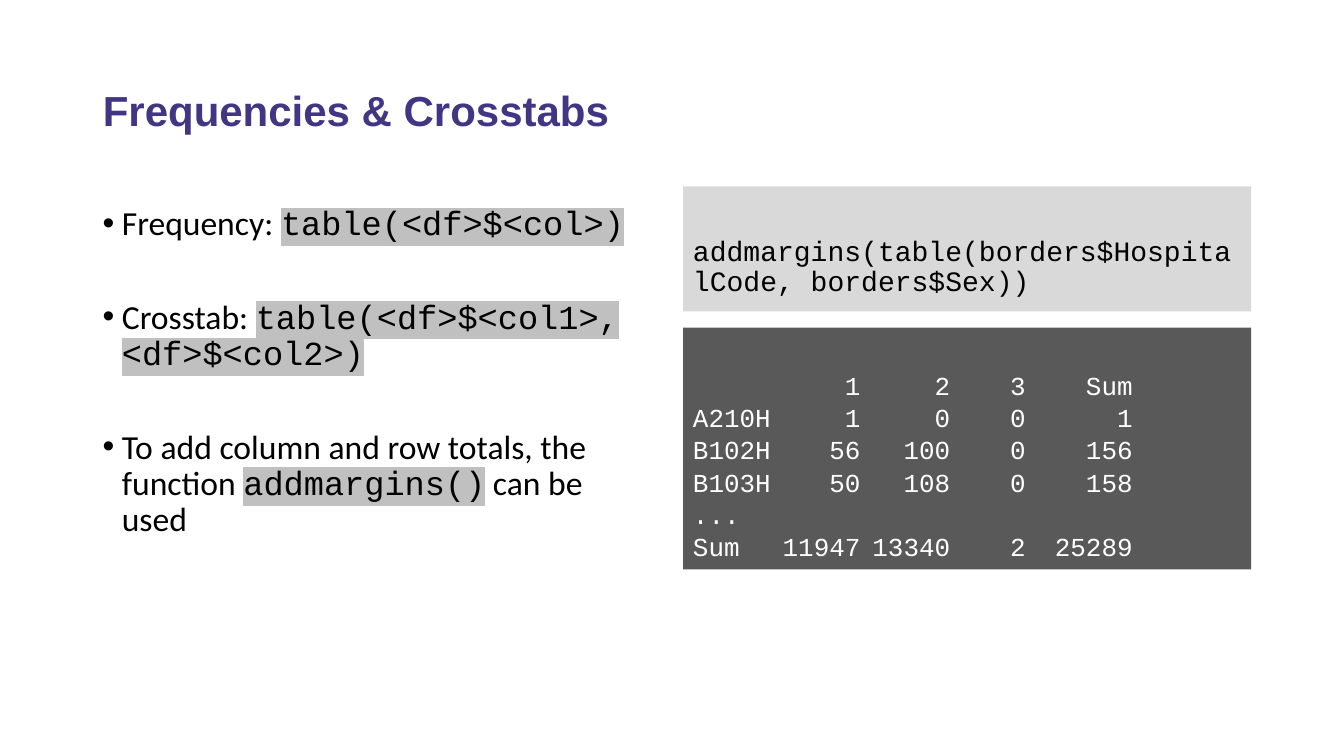
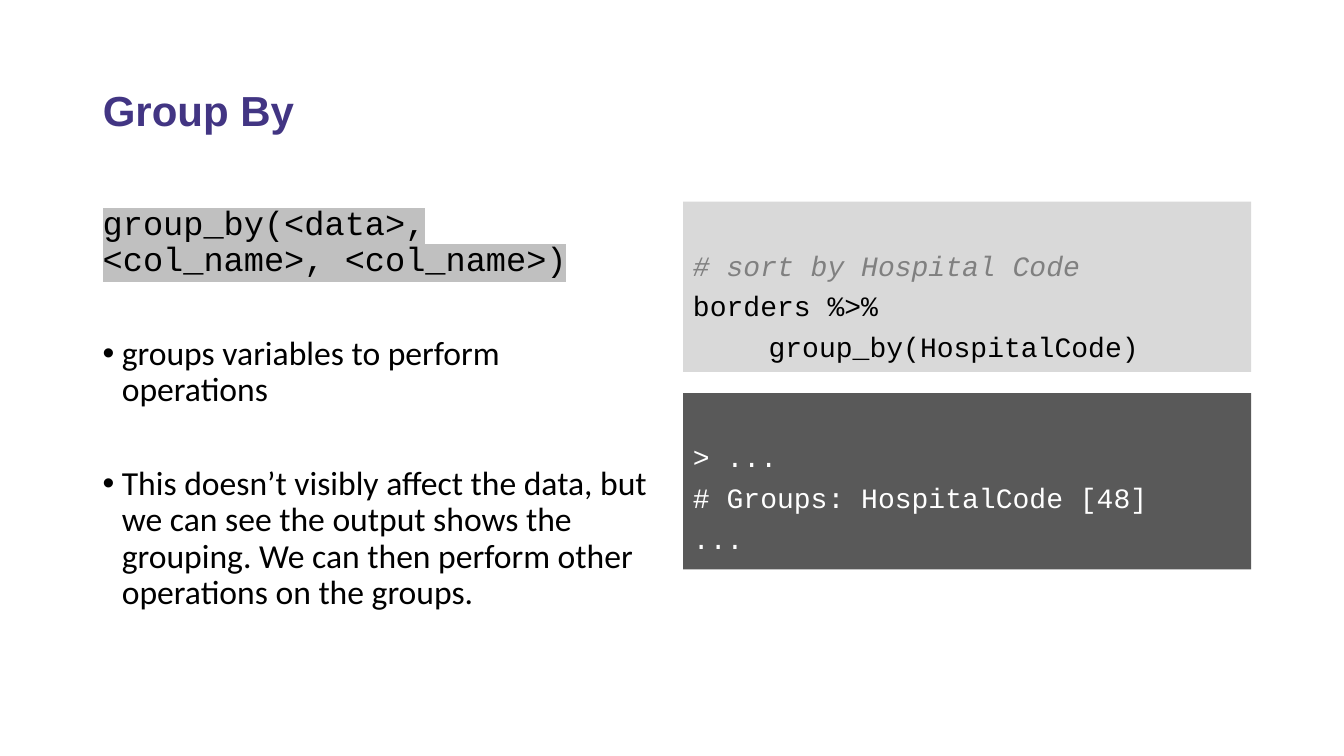
from lxml import etree
from pptx import Presentation
from pptx.dml.color import RGBColor
from pptx.enum.shapes import MSO_SHAPE
from pptx.enum.text import MSO_ANCHOR, PP_ALIGN
from pptx.oxml.ns import qn
from pptx.util import Inches, Pt

RECTANGLE = MSO_SHAPE.RECTANGLE
TOP, MIDDLE = MSO_ANCHOR.TOP, MSO_ANCHOR.MIDDLE
LEFT = PP_ALIGN.LEFT

PURPLE = RGBColor(0x42, 0x35, 0x83)
BLACK = RGBColor(0x00, 0x00, 0x00)
WHITE = RGBColor(0xFF, 0xFF, 0xFF)
COMMENT_GREY = RGBColor(0x80, 0x80, 0x80)
HIGHLIGHT_GREY = RGBColor(0xC0, 0xC0, 0xC0)
INPUT_GREY = RGBColor(0xD9, 0xD9, 0xD9)
OUTPUT_GREY = RGBColor(0x59, 0x59, 0x59)

TITLE_FONT, BODY_FONT, CODE_FONT = "Arial", "Calibri", "Courier New"

SLIDE_WIDTH, SLIDE_HEIGHT = 13.33, 7.5
MARGIN, GUTTER = 0.92, 0.22
CONTENT_WIDTH = SLIDE_WIDTH - 2 * MARGIN
COLUMN_WIDTH = (CONTENT_WIDTH - GUTTER) / 2
RIGHT_COLUMN = MARGIN + COLUMN_WIDTH + GUTTER
TITLE_TOP, TITLE_HEIGHT = 0.4, 1.45
BODY_TOP, BODY_HEIGHT = 2, 4.38
PANELS_BOTTOM = 5.65
PANEL_INSET = 0.5
BULLET_INDENT = 0.19
CODE_INDENT = 0.75
PARAGRAPH_GAP, LINE_GAP = 41, 7.5
TABLE_STOPS = (1.66, 2.55, 3.3, 4.36)


def box(left, top, width, height):
    return [Inches(length) for length in (left, top, width, height)]


def style(paragraph, font, size, color, line_spacing=0.9, bold=None, italic=None):
    paragraph.alignment = LEFT
    paragraph.line_spacing = line_spacing
    paragraph.font.name = font
    paragraph.font.size = Pt(size)
    paragraph.font.color.rgb = color
    paragraph.font.bold = bold
    paragraph.font.italic = italic


def next_paragraph(frame, index, gap):
    paragraph = frame.add_paragraph() if index else frame.paragraphs[0]
    paragraph.space_before = Pt(gap if index else 0)
    return paragraph


def add_bullet(paragraph):
    properties = paragraph._p.get_or_add_pPr()
    properties.set("marL", str(Inches(BULLET_INDENT)))
    properties.set("indent", str(-Inches(BULLET_INDENT)))
    etree.SubElement(properties, qn("a:buFont"), typeface="Arial")
    etree.SubElement(properties, qn("a:buChar"), char="•")


def add_right_tabs(paragraph, stops):
    tabs = etree.SubElement(paragraph._p.get_or_add_pPr(), qn("a:tabLst"))
    for stop in stops:
        etree.SubElement(tabs, qn("a:tab"), pos=str(Inches(stop)), algn="r")


def highlight(run):
    mark = etree.Element(qn("a:highlight"))
    etree.SubElement(mark, qn("a:srgbClr"), val=str(HIGHLIGHT_GREY))
    run._r.get_or_add_rPr().insert(0, mark)


def add_titled_slide(presentation, title):
    slide = presentation.slides.add_slide(presentation.slide_layouts[5])
    shape = slide.shapes.title
    shape.left, shape.top, shape.width, shape.height = box(
        MARGIN, TITLE_TOP, CONTENT_WIDTH, TITLE_HEIGHT)
    shape.text_frame.text = title
    shape.text_frame.vertical_anchor = MIDDLE
    style(shape.text_frame.paragraphs[0], TITLE_FONT, 30, PURPLE, bold=True)
    return slide


def add_body(slide, items):
    frame = slide.shapes.add_textbox(
        *box(MARGIN, BODY_TOP, COLUMN_WIDTH, BODY_HEIGHT)).text_frame
    frame.word_wrap = True
    for index, (bulleted, pieces) in enumerate(items):
        paragraph = next_paragraph(frame, index, PARAGRAPH_GAP)
        if bulleted:
            add_bullet(paragraph)
        style(paragraph, BODY_FONT, 24, BLACK)
        for text, is_code in pieces:
            run = paragraph.add_run()
            run.text = text
            if is_code:
                run.font.name = CODE_FONT
                highlight(run)


def add_panel(slide, top, bottom, fill, color, lines,
              size=20, line_spacing=0.9, stops=()):
    shape = slide.shapes.add_shape(
        RECTANGLE, *box(RIGHT_COLUMN, top, COLUMN_WIDTH, bottom - top))
    shape.shadow.inherit = False
    shape.fill.solid()
    shape.fill.fore_color.rgb = fill
    shape.line.fill.background()
    frame = shape.text_frame
    frame.word_wrap = True
    frame.vertical_anchor = TOP
    frame.margin_top = Inches(PANEL_INSET)
    for index, line in enumerate(lines):
        paragraph = next_paragraph(frame, index, LINE_GAP)
        text = line.lstrip(" ")
        if text != line:
            paragraph._p.get_or_add_pPr().set("marL", str(Inches(CODE_INDENT)))
        if stops:
            add_right_tabs(paragraph, stops)
        is_comment = fill == INPUT_GREY and text.startswith("#")
        style(paragraph, CODE_FONT, size, COMMENT_GREY if is_comment else color,
              line_spacing, italic=is_comment)
        paragraph.add_run().text = text


def add_input(slide, top, bottom, lines):
    add_panel(slide, top, bottom, INPUT_GREY, BLACK, lines)


def add_output(slide, top, lines, **options):
    add_panel(slide, top, PANELS_BOTTOM, OUTPUT_GREY, WHITE, lines, **options)


def build_crosstabs(presentation):
    slide = add_titled_slide(presentation, "Frequencies & Crosstabs")
    add_body(slide, [
        (True, [("Frequency: ", False), ("table(<df>$<col>)", True)]),
        (True, [("Crosstab: ", False), ("table(<df>$<col1>, <df>$<col2>)", True)]),
        (True, [("To add column and row totals, the function ", False),
                ("addmargins()", True), (" can be used", False)]),
    ])
    add_input(slide, 1.85, 3.09,
              ["addmargins(table(borders$HospitalCode, borders$Sex))"])
    rows = [
        ("", "1", "2", "3", "Sum"),
        ("A210H", "1", "0", "0", "1"),
        ("B102H", "56", "100", "0", "156"),
        ("B103H", "50", "108", "0", "158"),
        ("...",),
        ("Sum", "11947", "13340", "2", "25289"),
    ]
    add_output(slide, 3.25, ["\t".join(row) for row in rows],
               size=18.5, line_spacing=0.7, stops=TABLE_STOPS)


def build_group_by(presentation):
    slide = add_titled_slide(presentation, "Group By")
    add_body(slide, [
        (False, [("group_by(<data>, <col_name>, <col_name>)", True)]),
        (True, [("groups variables to perform operations", False)]),
        (True, [("This doesn’t visibly affect the data, but we can see the output "
                 "shows the grouping. We can then perform other operations on the "
                 "groups.", False)]),
    ])
    add_input(slide, 2, 3.69, ["# sort by Hospital Code", "borders %>%",
                               "    group_by(HospitalCode)"])
    add_output(slide, 3.9, ["> ...", "# Groups: HospitalCode [48]", "..."])


def main():
    presentation = Presentation()
    presentation.slide_width = Inches(SLIDE_WIDTH)
    presentation.slide_height = Inches(SLIDE_HEIGHT)
    build_crosstabs(presentation)
    build_group_by(presentation)
    presentation.save("out.pptx")


if __name__ == "__main__":
    main()
